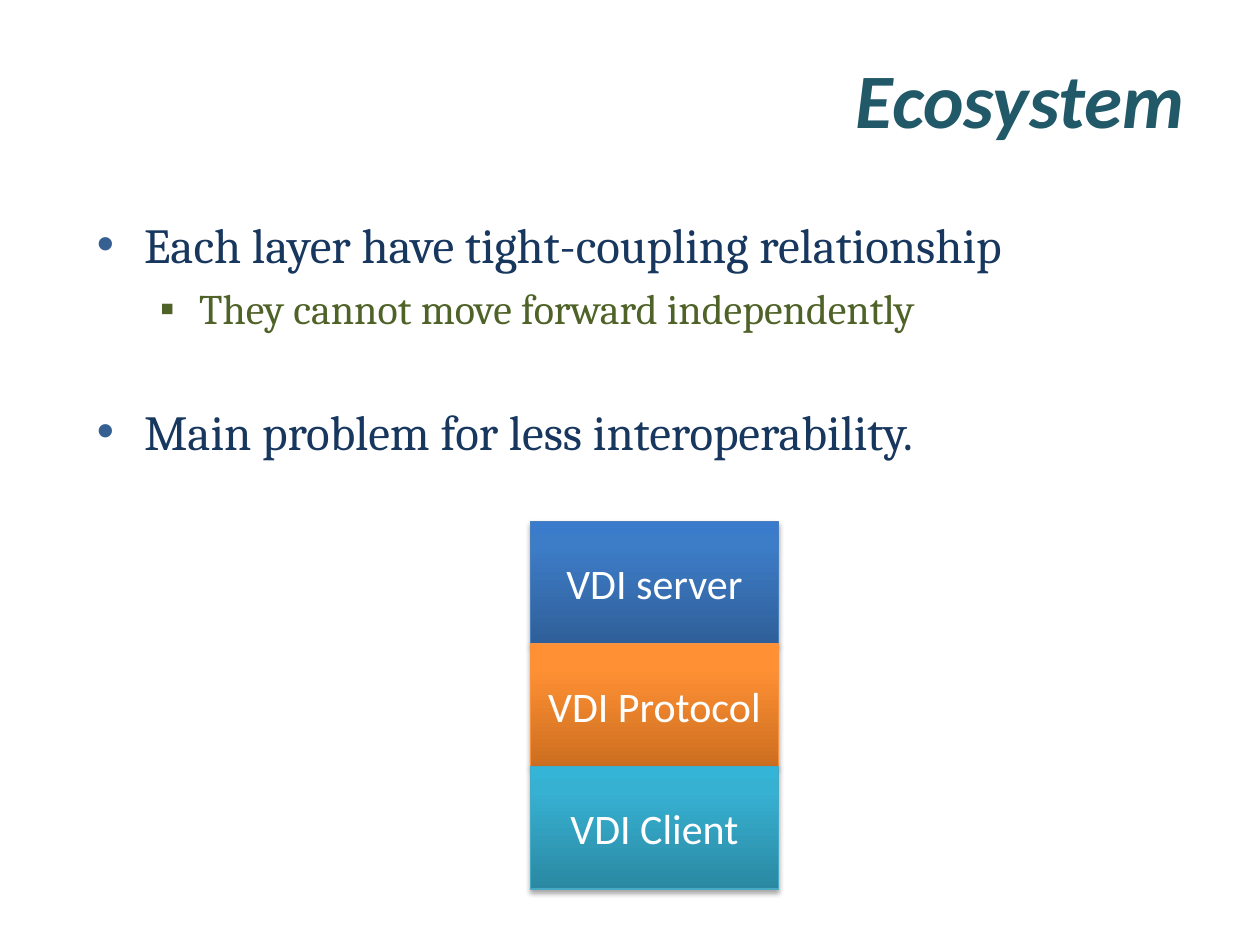
from lxml import etree
from pptx import Presentation
from pptx.dml.color import RGBColor
from pptx.enum.shapes import MSO_SHAPE
from pptx.enum.text import MSO_ANCHOR, PP_ALIGN
from pptx.oxml import parse_xml
from pptx.oxml.ns import nsdecls, qn
from pptx.util import Pt

RECTANGLE = MSO_SHAPE.RECTANGLE
MIDDLE, TOP = MSO_ANCHOR.MIDDLE, MSO_ANCHOR.TOP
LEFT, CENTER, RIGHT = PP_ALIGN.LEFT, PP_ALIGN.CENTER, PP_ALIGN.RIGHT


def color(value):
    return RGBColor.from_string(value)


def set_values(target, values):
    for name, value in values.items():
        setattr(target, name, value)


class SlideBuilder:
    TITLE = {"name": "Calibri", "size": Pt(44), "bold": True, "italic": True}
    LABEL = {"name": "Calibri", "size": Pt(24)}
    BULLETS = [
        {"font": {"name": "Cambria", "size": Pt(28)}, "color": "17375E",
         "mark": "•", "mark_color": "376092", "margin": 27, "indent": -27,
         "line": 36},
        {"font": {"name": "Cambria", "size": Pt(24)}, "color": "4F6228",
         "mark": "▪", "mark_color": "4F6228", "margin": 58.5, "indent": -22.5,
         "line": 34},
    ]

    def __init__(self, slide):
        self.slide = slide

    def add_text(self, paragraph, text, font, font_color, alignment):
        paragraph.alignment = alignment
        run = paragraph.add_run()
        run.text = text
        set_values(run.font, font)
        run.font.color.rgb = color(font_color)

    def text_frame(self, box, anchor):
        shape = self.slide.shapes.add_textbox(*map(Pt, box))
        set_values(shape.text_frame, {"word_wrap": True, "vertical_anchor": anchor})
        return shape.text_frame

    def title(self, text, box):
        frame = self.text_frame(box, MIDDLE)
        self.add_text(frame.paragraphs[0], text, self.TITLE, "215968", RIGHT)

    def bullets(self, items, box):
        frame = self.text_frame(box, TOP)
        for index, (level, text, space) in enumerate(items):
            paragraph = frame.add_paragraph() if index else frame.paragraphs[0]
            style = self.BULLETS[level]
            properties = paragraph._p.get_or_add_pPr()
            properties.set("marL", str(Pt(style["margin"])))
            properties.set("indent", str(Pt(style["indent"])))
            mark_color = etree.SubElement(properties, qn("a:buClr"))
            etree.SubElement(mark_color, qn("a:srgbClr"), val=style["mark_color"])
            etree.SubElement(properties, qn("a:buFont"), typeface="Arial")
            etree.SubElement(properties, qn("a:buChar"), char=style["mark"])
            set_values(paragraph, {"level": level, "space_before": Pt(space),
                                   "line_spacing": Pt(style["line"])})
            self.add_text(paragraph, text, style["font"], style["color"], LEFT)

    def gradient(self, shape, colors):
        shape.fill.gradient()
        shape.fill.gradient_angle = 90
        stops = shape._element.spPr.find(qn("a:gradFill")).find(qn("a:gsLst"))
        for stop in list(stops):
            stops.remove(stop)
        for position, value in zip((0, 80, 100), colors):
            stop = etree.SubElement(stops, qn("a:gs"), pos=str(position * 1000))
            etree.SubElement(stop, qn("a:srgbClr"), val=value)

    def shadow(self, shape):
        shape._element.spPr.append(parse_xml(
            f'<a:effectLst {nsdecls("a")}>'
            f'<a:outerShdw blurRad="{Pt(3.1)}" dist="{Pt(1.8)}" dir="5400000" rotWithShape="0">'
            '<a:srgbClr val="000000"><a:alpha val="35000"/></a:srgbClr>'
            '</a:outerShdw></a:effectLst>'))

    def stack(self, layers, left, top, width, height):
        group = self.slide.shapes.add_group_shape()
        for index, (text, colors, line_color) in enumerate(layers):
            box = (left, top + index * height, width, height)
            shape = group.shapes.add_shape(RECTANGLE, *map(Pt, box))
            self.gradient(shape, colors)
            shape.line.color.rgb = color(line_color)
            shape.line.width = Pt(0.75)
            self.shadow(shape)
            set_values(shape.text_frame, {"word_wrap": True, "vertical_anchor": MIDDLE})
            self.add_text(shape.text_frame.paragraphs[0], text, self.LABEL, "FFFFFF", CENTER)


def main():
    presentation = Presentation()
    set_values(presentation, {"slide_width": Pt(720), "slide_height": Pt(540)})
    builder = SlideBuilder(presentation.slides.add_slide(presentation.slide_layouts[6]))
    builder.title("Ecosystem", (36, 21.6, 648, 68.4))
    builder.bullets([
        (0, "Each layer have tight-coupling relationship", 0),
        (1, "They cannot move forward independently", 0),
        (0, "Main problem for less interoperability.", 37),
    ], (48.24, 116.64, 623.52, 153.36))
    builder.stack([
        ("VDI server", ("2F5F99", "3D7CC7", "3A7CCB"), "4B7EBC"),
        ("VDI Protocol", ("CC6E20", "FF9034", "FF9136"), "F69240"),
        ("VDI Client", ("2A88A2", "37B1D2", "34B4D6"), "46AAC5"),
    ], 303, 298, 142, 70)
    presentation.save("out.pptx")


if __name__ == "__main__":
    main()
